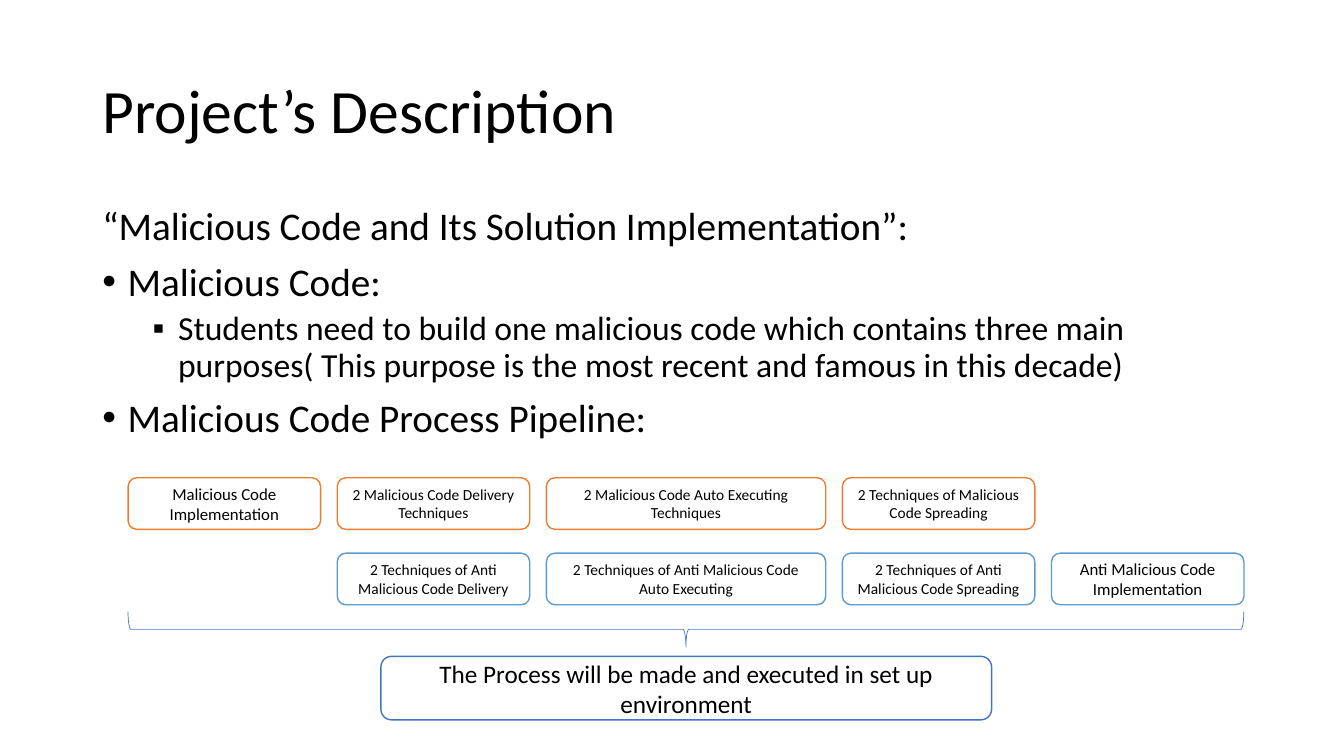
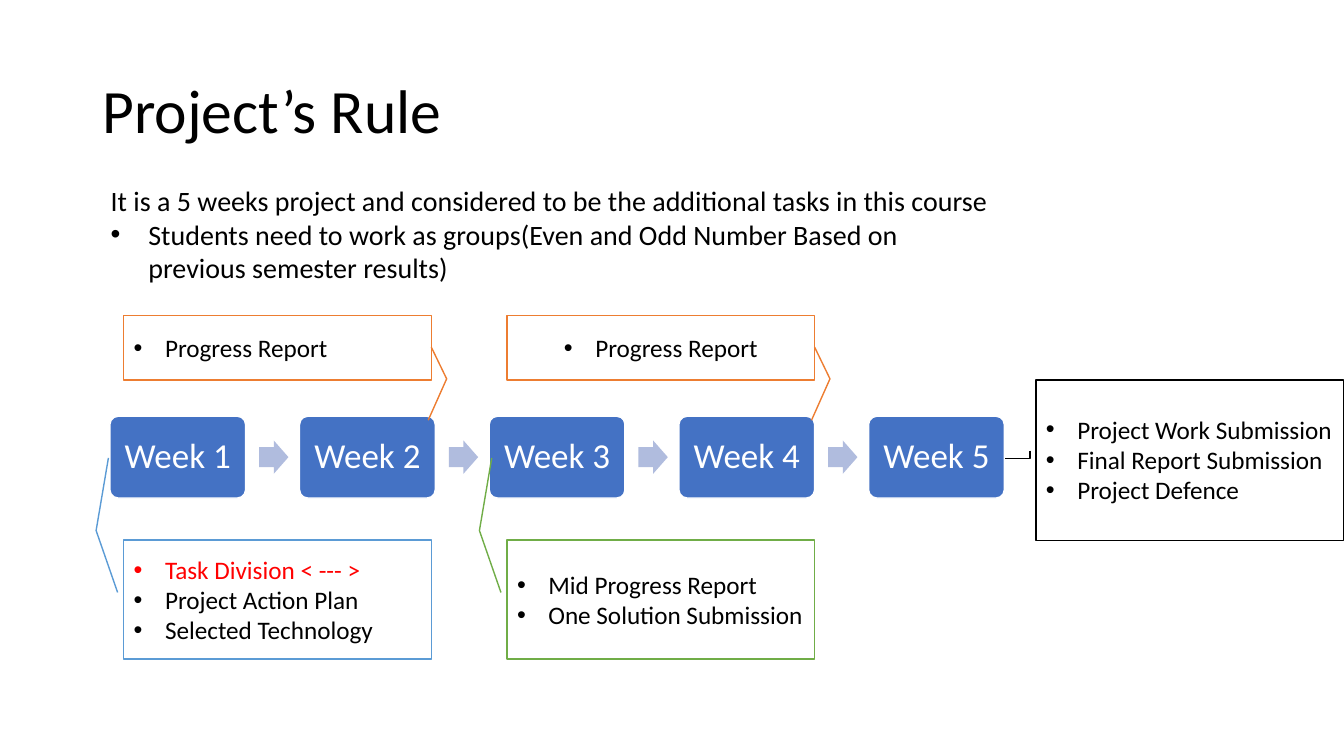
import dataclasses

import pptx
import pptx.dml.color
import pptx.enum.shapes
import pptx.enum.text
import pptx.oxml.ns
import pptx.util
from lxml import etree

Cm = pptx.util.Cm
Pt = pptx.util.Pt
SHAPE = pptx.enum.shapes.MSO_SHAPE
ALIGN = pptx.enum.text.PP_ALIGN
ANCHOR = pptx.enum.text.MSO_ANCHOR


@dataclasses.dataclass(frozen=True)
class Theme:
    font: str = "Calibri"
    bullet_font: str = "Arial"
    text: str = "000000"
    paper: str = "FFFFFF"
    alert: str = "FF0000"
    orange: str = "ED7D31"
    sky: str = "5B9BD5"
    blue: str = "4472C4"
    green: str = "70AD47"
    arrow: str = "B0BCDE"
    title: float = 44
    body: float = 28
    sub: float = 24
    week: float = 25
    intro: float = 20
    note: float = 18
    step: float = 12
    small_step: float = 11


@dataclasses.dataclass(frozen=True)
class Para:
    text: str
    size: float
    color: str = "000000"
    align: object = ALIGN.LEFT
    bullet: str = ""
    margin: float = 0
    hang: float = 0
    format: dict = dataclasses.field(default_factory=dict)


THEME = Theme()
TIGHT = {"line_spacing": 0.9}
BODY = {"line_spacing": 0.9, "space_before": Pt(10)}
SUB = {"line_spacing": 0.9, "space_before": Pt(5)}


def rgb(value):
    return pptx.dml.color.RGBColor.from_string(value)


def set_values(obj, values):
    for name, value in values.items():
        setattr(obj, name, value)


def set_bullet(p, para):
    pPr = p._p.get_or_add_pPr()
    pPr.set("marL", str(Cm(para.margin)))
    pPr.set("indent", str(-Cm(para.hang)))
    font = etree.SubElement(pPr, pptx.oxml.ns.qn("a:buFont"))
    font.set("typeface", THEME.bullet_font)
    char = etree.SubElement(pPr, pptx.oxml.ns.qn("a:buChar"))
    char.set("char", para.bullet)


def write(s, paras, frame):
    tf = s.text_frame
    set_values(tf, {"word_wrap": True, **frame})
    for i, para in enumerate(paras):
        p = tf.add_paragraph() if i else tf.paragraphs[0]
        set_values(p, {"alignment": para.align, **para.format})
        if para.bullet:
            set_bullet(p, para)
        r = p.add_run()
        r.text = para.text
        set_values(r.font, {"name": THEME.font, "size": Pt(para.size)})
        r.font.color.rgb = rgb(para.color)


def add_text(slide, box, paras, **frame):
    s = slide.shapes.add_textbox(*map(Cm, box))
    write(s, paras, frame)


def add_title(slide, text):
    add_text(slide, (2.33, 1.01, 29.21, 3.68),
             [Para(text, THEME.title, format=TIGHT)],
             vertical_anchor=ANCHOR.MIDDLE)


def add_shape(slide, kind, box, fill=None, line=None, width=1, adj=()):
    s = slide.shapes.add_shape(kind, *map(Cm, box))
    s.shadow.inherit = False
    for i, value in enumerate(adj):
        s.adjustments[i] = value
    for part, color in ((s.fill, fill), (s.line.fill, line)):
        if color:
            part.solid()
            part.fore_color.rgb = rgb(color)
        else:
            part.background()
    if line:
        s.line.width = Pt(width)
    return s


def add_step(slide, box, text, size, line):
    s = add_shape(slide, SHAPE.ROUNDED_RECTANGLE, box, THEME.paper, line)
    write(s, [Para(text, size, align=ALIGN.CENTER)],
          {"vertical_anchor": ANCHOR.MIDDLE})


def add_callout(slide, box, line, adj, items, align=ALIGN.LEFT, **frame):
    s = add_shape(slide, SHAPE.LINE_CALLOUT_2, box, THEME.paper, line, adj=adj)
    paras = [Para(text, THEME.note, color, align, "•", 0.79, 0.79)
             for text, color in items]
    write(s, paras, {"vertical_anchor": ANCHOR.MIDDLE, **frame})


def add_pipeline(slide):
    widths = (4.85, 4.85, 7.04, 4.85, 4.85)
    gap = 0.42
    rows = (
        (12.04, THEME.orange, 0, (
            "Malicious Code Implementation",
            "2 Malicious Code Delivery Techniques",
            "2 Malicious Code Auto Executing Techniques",
            "2 Techniques of Malicious Code Spreading")),
        (13.94, THEME.sky, 1, (
            "2 Techniques of Anti Malicious Code Delivery",
            "2 Techniques of Anti Malicious Code Auto Executing",
            "2 Techniques of Anti Malicious Code Spreading",
            "Anti Malicious Code Implementation")),
    )
    for top, line, first, texts in rows:
        for col, text in enumerate(texts, first):
            left = 3.23 + sum(widths[:col]) + gap * col
            outer = col in (0, len(widths) - 1)
            size = THEME.step if outer else THEME.small_step
            add_step(slide, (left, top, widths[col], 1.3), text, size, line)


def add_weeks(slide):
    count = 5
    for i in range(count):
        left = 2.77 + 4.78 * i
        s = add_shape(slide, SHAPE.ROUNDED_RECTANGLE, (left, 10.49, 3.42, 2.06),
                      THEME.blue, THEME.paper, adj=(0.1,))
        write(s, [Para(f"Week {i + 1}", THEME.week, THEME.paper, ALIGN.CENTER,
                       format=TIGHT)],
              {"vertical_anchor": ANCHOR.MIDDLE,
               "margin_left": Cm(0.2), "margin_right": Cm(0.2)})
        if i < count - 1:
            add_shape(slide, SHAPE.RIGHT_ARROW, (left + 3.76, 11.1, 0.74, 0.84),
                      THEME.arrow, adj=(0.6, 0.5))


def add_callouts(slide):
    below = (0.44, -0.02, -0.08, -0.09, -0.69, -0.05)
    above = (0.49, 1, 0.98, 1.05, 1.62, 0.99)
    beside = (0.44, -0.02, 0.49, -0.02, 0.49, -0.1)
    plain = THEME.text
    first, second, width = 3.12, 12.78, 7.75
    report = [("Progress Report", plain)]
    add_callout(slide, (first, 13.61, width, 3), THEME.sky, below,
                [("Task Division < --- >", THEME.alert),
                 ("Project Action Plan", plain),
                 ("Selected Technology", plain)])
    add_callout(slide, (second, 13.61, width, 3), THEME.green, below,
                [("Mid Progress Report", plain),
                 ("One Solution Submission", plain)])
    for left, align in ((first, ALIGN.LEFT), (second, ALIGN.CENTER)):
        add_callout(slide, (left, 7.95, width, 1.63), THEME.orange, above,
                    report, align)
    add_callout(slide, (26.11, 9.58, width, 4.04), THEME.text, beside,
                [("Project Work Submission", plain),
                 ("Final Report Submission", plain),
                 ("Project Defence", plain)],
                vertical_anchor=ANCHOR.BOTTOM, margin_bottom=Cm(0.9))


def build_description(slide):
    add_title(slide, "Project’s Description")
    bullet = {"bullet": "•", "margin": 0.64, "hang": 0.64, "format": BODY}
    add_text(slide, (2.33, 5.07, 29.21, 12.09), [
        Para("“Malicious Code and Its Solution Implementation”:", THEME.body,
             format=BODY),
        Para("Malicious Code:", THEME.body, **bullet),
        Para("Students need to build one malicious code which contains three "
             "main purposes( This purpose is the most recent and famous in "
             "this decade)", THEME.sub, bullet="▪", margin=1.91, hang=0.64,
             format=SUB),
        Para("Malicious Code Process Pipeline:", THEME.body, **bullet),
    ])
    add_pipeline(slide)
    brace = add_shape(slide, SHAPE.RIGHT_BRACE, (16.84, 1.8, 0.89, 28.12),
                      line=THEME.blue, width=0.5)
    brace.rotation = 90
    add_step(slide, (9.6, 16.54, 15.39, 1.6),
             "The Process will be made and executed in set up environment",
             THEME.note, THEME.blue)


def build_rule(slide):
    add_title(slide, "Project’s Rule")
    add_weeks(slide)
    add_text(slide, (2.54, 4.5, 22.78, 2.82), [
        Para("It is a 5 weeks project and considered to be the additional "
             "tasks in this course", THEME.intro),
        Para("Students need to work as groups(Even and Odd Number Based on "
             "previous semester results)", THEME.intro, bullet="•",
             margin=0.95, hang=0.95),
    ])
    add_callouts(slide)


def main():
    prs = pptx.Presentation()
    set_values(prs, {"slide_width": Cm(33.87), "slide_height": Cm(19.05)})
    for build in (build_description, build_rule):
        build(prs.slides.add_slide(prs.slide_layouts[6]))
    prs.save("out.pptx")


if __name__ == "__main__":
    main()
